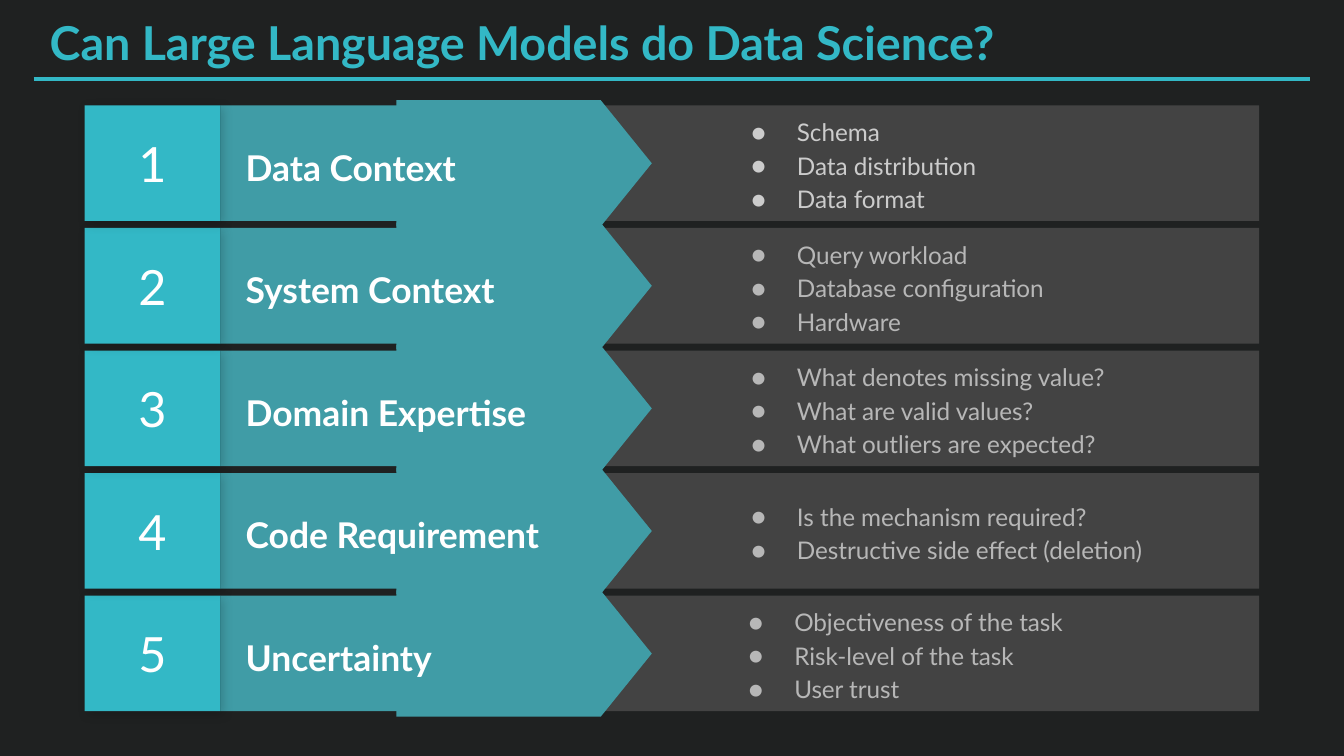
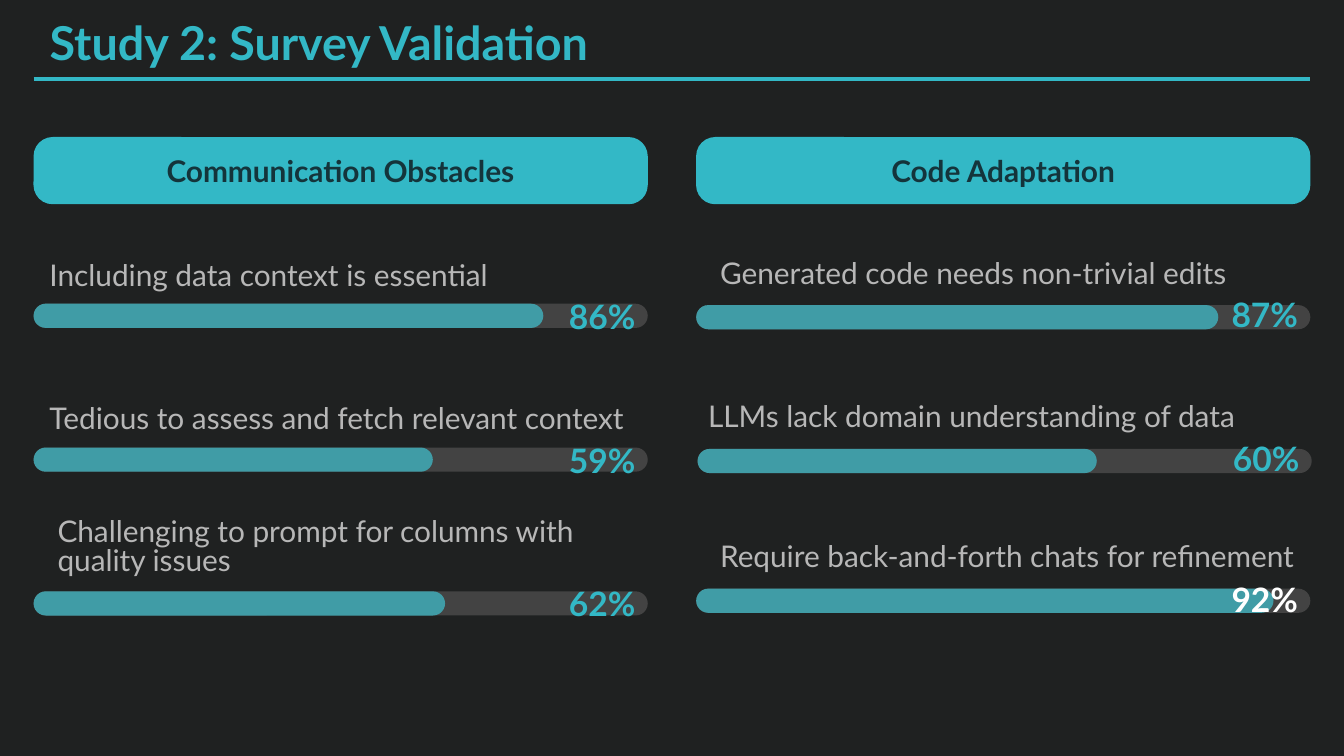
from copy import deepcopy

from lxml import etree
from pptx import Presentation
from pptx.dml.color import RGBColor as RGB
from pptx.enum.shapes import MSO_CONNECTOR as CONN, MSO_SHAPE as SHAPE
from pptx.enum.text import MSO_ANCHOR as ANCHOR, MSO_AUTO_SIZE as AUTO, PP_ALIGN as ALIGN
from pptx.oxml.ns import qn
from pptx.util import Inches, Pt

COLORS = {
    "back": "1F2121", "accent": "33B8C6", "teal": "409CA6", "panel": "434343",
    "white": "FFFFFF", "light": "CCCCCC", "grey": "B7B7B7", "ink": "14343B",
    "black": "000000",
}
FONT = "Lato"
COLS, ROWS = 100, 56.25  # square grid cells over a 10 x 5.625 inch slide

TITLE = {"size": Pt(25), "bold": True}
NUMBER = {"size": Pt(26), "bold": False}
TOPIC = {"size": Pt(19), "bold": True}
BULLET = {"size": Pt(13), "bold": False}
HEADER = {"size": Pt(16), "bold": True}
LABEL = {"size": Pt(16), "bold": False}
PERCENT = {"size": Pt(18), "bold": True}

# topic, bullets, bullet colour, left column of the bullets
TOPICS = [
    ("Data Context", ["Schema", "Data distribution", "Data format"], "light", 53.3),
    ("System Context", ["Query workload", "Database configuration", "Hardware"],
     "grey", 53.3),
    ("Domain Expertise", ["What denotes missing value?", "What are valid values?",
                          "What outliers are expected?"], "grey", 53.3),
    ("Code Requirement", ["Is the mechanism required?",
                          "Destructive side effect (deletion)"], "grey", 53.3),
    ("Uncertainty", ["Objectiveness of the task", "Risk-level of the task",
                     "User trust"], "grey", 53.1),
]

HEADERS = [("Communication Obstacles", 2.5), ("Code Adaptation", 51.8)]
# label, label column, label line spacing, percent, percent colour,
# percent rise, bar column, bar row, filled share of the track
BARS = [
    ("Including data context is essential", 2.7, 1, "86%", "accent", 0.2,
     2.5, 22.6, 0.83),
    ("Tedious to assess and fetch relevant context", 2.7, 1, "59%", "accent", 0.2,
     2.5, 33.3, 0.65),
    ("Challenging to prompt for columns with quality issues", 3.3, 0.8, "62%",
     "accent", 0.2, 2.5, 44, 0.67),
    ("Generated code needs non-trivial edits", 52.6, 0.8, "87%", "accent", 0.4,
     51.8, 22.7, 0.85),
    ("LLMs lack domain understanding of data", 51.7, 0.8, "60%", "accent", 0.4,
     51.9, 33.4, 0.65),
    ("Require back-and-forth chats for refinement", 52.6, 0.8, "92%", "white", 0.3,
     51.8, 43.8, 0.94),
]
TRACK_W, TRACK_H = 45.7, 1.8


def rgb(name):
    return RGB.from_string(COLORS[name])


def add_el(parent, tag, **attrs):
    el = etree.SubElement(parent, qn(tag))
    for key, value in attrs.items():
        el.set(key, str(value))
    return el


class Deck:
    """Holds the shared style, the presentation and the slide being drawn."""

    def __init__(self):
        self.prs = Presentation()
        self.prs.slide_width, self.prs.slide_height = Inches(10), Inches(5.625)
        self.cw = self.prs.slide_width / COLS
        self.rh = self.prs.slide_height / ROWS
        fill = self.prs.slide_master.background.fill
        fill.solid()
        fill.fore_color.rgb = rgb("back")

    def box(self, col, row, w, h):
        return (int(col * self.cw), int(row * self.rh),
                int(w * self.cw), int(h * self.rh))

    def list_layout(self, count):
        """Give the title-and-content layout as many body placeholders as needed."""
        layout = self.prs.slide_layouts[1]
        body = layout.placeholders[1].element
        for i in range(1, count):
            extra = deepcopy(body)
            extra.find(".//" + qn("p:cNvPr")).set("id", str(100 + i))
            extra.find(".//" + qn("p:ph")).set("idx", str(100 + i))
            body.getparent().append(extra)
        return layout

    def new_slide(self, title, layout):
        self.s = self.prs.slides.add_slide(layout)
        self.bodies = [p for p in self.s.placeholders if p.placeholder_format.idx]
        sp = self.s.shapes.title
        self.place(sp, 2.7, 0, 97.3, 6.2)
        self.set_text(sp, [title], TITLE, "accent", anchor=ANCHOR.TOP)
        self.rule(2.5, 5.9, 97.5)

    def place(self, sp, *cells):
        for name, value in zip(("left", "top", "width", "height"), self.box(*cells)):
            setattr(sp, name, value)

    def set_text(self, sp, lines, fmt, color, align=ALIGN.LEFT, spacing=1,
                 anchor=ANCHOR.MIDDLE, bullets=False):
        tf = sp.text_frame
        frame = {"word_wrap": True, "auto_size": AUTO.NONE, "vertical_anchor": anchor}
        frame.update({"margin_" + side: Inches(0.1)
                      for side in ("left", "right", "top", "bottom")})
        for name, value in frame.items():
            setattr(tf, name, value)
        for i, line in enumerate(lines):
            p = tf.add_paragraph() if i else tf.paragraphs[0]
            p.alignment, p.line_spacing, p.space_before = align, spacing, Pt(0)
            if bullets:
                self.bullet(p, color)
            r = p.add_run()
            r.text = line
            for name, value in {"name": FONT, **fmt}.items():
                setattr(r.font, name, value)
            r.font.color.rgb = rgb(color)

    def bullet(self, p, color):
        pPr = p._p.get_or_add_pPr()
        pPr.set("marL", str(Inches(0.5)))
        pPr.set("indent", str(-Inches(0.34)))
        add_el(add_el(pPr, "a:buClr"), "a:srgbClr", val=COLORS[color])
        add_el(pPr, "a:buFont", typeface=FONT)
        add_el(pPr, "a:buChar", char="●")

    def shape(self, kind, cells, fill, adj=None):
        sp = self.s.shapes.add_shape(kind, *self.box(*cells))
        sp.shadow.inherit = False
        sp.fill.solid()
        sp.fill.fore_color.rgb = rgb(fill)
        sp.line.fill.background()
        if adj is not None:
            sp.adjustments[0] = adj
        return sp

    def cast_shadow(self, sp):
        effects = sp._element.spPr.find(qn("a:effectLst"))
        shadow = add_el(effects, "a:outerShdw", blurRad=Pt(5.6), dist=Pt(2.2),
                        dir=45 * 60000, algn="bl", rotWithShape=0)
        add_el(add_el(shadow, "a:srgbClr", val=COLORS["black"]), "a:alpha", val=17000)

    def text(self, cells, line, fmt, color, spacing=1):
        sp = self.s.shapes.add_textbox(*self.box(*cells))
        self.set_text(sp, [line], fmt, color, spacing=spacing)

    def bullets(self, sp, cells, lines, color):
        self.place(sp, *cells)
        self.set_text(sp, lines, BULLET, color, spacing=1.15, bullets=True)
        sp.element.getparent().append(sp.element)  # bring to front

    def rule(self, col, row, end):
        x, y, w, _ = self.box(col, row, end - col, 0)
        ln = self.s.shapes.add_connector(CONN.STRAIGHT, x, y, x + w, y)
        ln.line.color.rgb, ln.line.width = rgb("accent"), Pt(2.25)
        add_el(ln._element.spPr, "a:effectLst")

    def topic_row(self, number, topic, lines, color, list_col):
        h = 8.6
        row = 7.85 + 9.12 * (number - 1)
        self.shape(SHAPE.RECTANGLE, (37.6, row, 56.1, h), "panel")
        self.shape(SHAPE.RECTANGLE, (16.4, row, 27.1, h), "teal")
        arrow_w, arrow_h = 9.4, 19
        arrow = self.shape(SHAPE.FLOWCHART_OFFPAGE_CONNECTOR,
                           (39 - arrow_w / 2, row + h / 2 - arrow_h / 2,
                            arrow_w, arrow_h), "teal")
        arrow.rotation = 270
        self.text((17.3, row + 1.05, 28.5, 6.6), topic, TOPIC, "white", spacing=1.15)
        tile = self.shape(SHAPE.RECTANGLE, (6.3, row, 10.1, h), "accent")
        self.cast_shadow(tile)
        self.set_text(tile, [str(number)], NUMBER, "white", ALIGN.CENTER)
        self.bullets(self.bodies[number - 1], (list_col, row, 37.6, h), lines, color)

    def header(self, text, col):
        sp = self.shape(SHAPE.ROUNDED_RECTANGLE, (col, 10.2, TRACK_W, 5), "accent", 0.285)
        self.set_text(sp, [text], HEADER, "ink", ALIGN.CENTER)

    def bar(self, label, label_col, spacing, percent, color, rise, col, row, share):
        for width, fill in ((TRACK_W, "panel"), (TRACK_W * share, "teal")):
            self.shape(SHAPE.ROUNDED_RECTANGLE, (col, row, width, TRACK_H), fill, 0.5)
        self.text((col + 38.85, row - rise, 7.7, 2.2), percent, PERCENT, color)
        two_lines = len(label) > 45
        up, h = (4.9, 3.4) if two_lines else (3.3, 2.2)
        self.text((label_col, row - up, TRACK_W, h), label, LABEL, "grey", spacing)


def main():
    deck = Deck()
    deck.new_slide("Can Large Language Models do Data Science?",
                   deck.list_layout(len(TOPICS)))
    for number, topic in reversed(list(enumerate(TOPICS, 1))):
        deck.topic_row(number, *topic)

    deck.new_slide("Study 2: Survey Validation", deck.prs.slide_layouts[5])
    for header in HEADERS:
        deck.header(*header)
    for bar in BARS:
        deck.bar(*bar)
    deck.prs.save("out.pptx")


if __name__ == "__main__":
    main()
